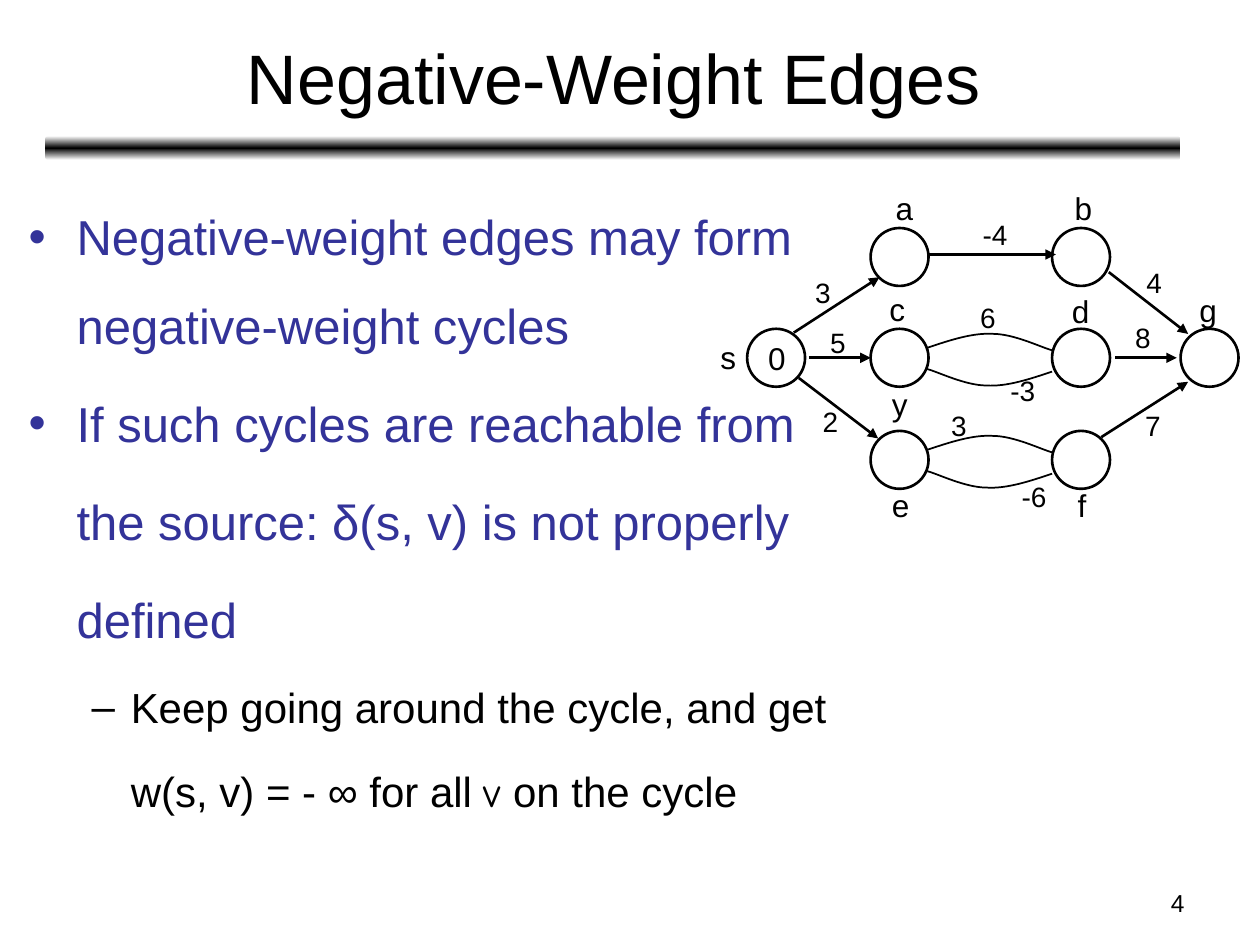
from lxml import etree
from pptx import Presentation
from pptx.dml.color import RGBColor
from pptx.enum.shapes import MSO_CONNECTOR, MSO_SHAPE
from pptx.enum.text import MSO_ANCHOR, PP_ALIGN
from pptx.oxml import parse_xml
from pptx.oxml.ns import nsdecls, qn
from pptx.util import Inches, Pt

LEFT, CENTER, RIGHT = PP_ALIGN.LEFT, PP_ALIGN.CENTER, PP_ALIGN.RIGHT
MIDDLE, TOP = MSO_ANCHOR.MIDDLE, MSO_ANCHOR.TOP
OVAL, BAR = MSO_SHAPE.OVAL, MSO_SHAPE.ROUNDED_RECTANGLE
STRAIGHT = MSO_CONNECTOR.STRAIGHT
BLACK, WHITE, BLUE = "000000", "FFFFFF", "333399"
SANS, HAND = "Arial", "Comic Neue"

# Graph grid: centres of the columns and rows, in inches
COLS = (6.16, 7.14, 8.58, 9.6)
ROWS = (2.04, 2.84, 3.65)
SIZE = 0.46
NODES = {"s": (0, 1), "a": (1, 0), "b": (2, 0), "c": (1, 1),
         "d": (2, 1), "e": (1, 2), "f": (2, 2), "g": (3, 1)}

# Label, node, offset of the label from the node's centre
NAMES = [
    ("s", "s", (-0.37, -0.01)), ("a", "a", (0.04, -0.39)),
    ("b", "b", (0.02, -0.39)), ("c", "c", (-0.01, -0.39)),
    ("d", "d", (0, -0.37)), ("g", "g", (-0.01, -0.38)),
    ("y", "c", (0.01, 0.37)), ("e", "e", (0.01, 0.36)),
    ("f", "f", (0.01, 0.36)),
]

# Ends, each with its offset from the node's centre
EDGES = [
    ("s", (0.14, -0.2), "a", (-0.16, 0.16)),
    ("s", (0.26, 0), "c", (-0.23, 0)),
    ("s", (0.18, 0.16), "e", (-0.17, -0.17)),
    ("a", (0.23, -0.02), "b", (-0.2, -0.02)),
    ("b", (0.22, 0.12), "g", (-0.17, -0.19)),
    ("d", (0.27, 0), "g", (-0.26, 0)),
    ("f", (0.16, -0.18), "g", (-0.17, 0.19)),
]

# Weight, pair of nodes, offset from the point halfway between them
WEIGHTS = [
    ("3", "sa", (-0.12, -0.12)), ("5", "sc", (0, -0.12)),
    ("2", "se", (-0.06, 0.1)), ("-4", "ab", (0.04, -0.18)),
    ("4", "bg", (0.07, -0.2)), ("8", "dg", (-0.02, -0.16)),
    ("7", "fg", (0.06, 0.13)), ("6", "cd", (-0.02, -0.32)),
    ("-3", "cd", (0.26, 0.26)), ("3", "ef", (-0.25, -0.27)),
    ("-6", "ef", (0.35, 0.29)),
]

# Start, then three points for each of two joined Bezier curves
ARC = [(0, 0), (0.18, -0.06), (0.36, -0.12), (0.52, -0.11),
       (0.69, -0.11), (0.91, 0), (0.99, 0.02)]

# Text, level, bullet
BODY = [
    ("Negative-weight edges may form negative-weight cycles", 0, "•"),
    ("If such cycles are reachable from", 0, "•"),
    ("the source: δ(s, v) is not properly", 0, None),
    ("defined", 0, None),
    ("Keep going around the cycle, and get", 1, "–"),
    (("w(s, v) = - ∞ for all ", "v", " on the cycle"), 1, None),
]
# Size, colour, left margin, hang, space before
LEVELS = [(28, BLUE, 0.38, 0.38, 5.6), (24, BLACK, 0.81, 0.31, 4.8)]


def rgb(code):
    return RGBColor.from_string(code)


def spot(name, off=(0, 0)):
    """Place on the slide of a node's centre, moved by an offset."""
    col, row = NODES[name]
    return COLS[col] + off[0], ROWS[row] + off[1]


def style(font, size, color=BLACK, face=SANS):
    font.size, font.name = Pt(size), face
    font.color.rgb = rgb(color)


def write(shape, text, size, align=LEFT, anchor=TOP):
    frame = shape.text_frame
    frame.text = text
    frame.vertical_anchor = anchor
    para = frame.paragraphs[0]
    para.alignment = align
    style(para.runs[0].font, size)


def box(slide, x, y, w, h, wrap=True):
    shape = slide.shapes.add_textbox(*map(Inches, (x, y, w, h)))
    shape.text_frame.word_wrap = wrap
    return shape


def label(slide, text, x, y, w, h, size):
    """Short text in a box centred on a point."""
    write(box(slide, x - w / 2, y - h / 2, w, h, False), text, size)


def rule(slide):
    shape = slide.shapes.add_shape(
        BAR, *map(Inches, (0.36, 1.08, 9.01, 0.19)))
    shape.shadow.inherit = False
    shape.line.fill.background()
    stops = "".join(
        f'<a:gs pos="{pos}"><a:srgbClr val="{color}"/></a:gs>'
        for pos, color in ((0, WHITE), (50000, BLACK), (100000, WHITE)))
    fill = parse_xml(f'<a:gradFill {nsdecls("a")}><a:gsLst>{stops}</a:gsLst>'
                     '<a:lin ang="5400000" scaled="0"/></a:gradFill>')
    shape.element.spPr.find(qn("a:prstGeom")).addnext(fill)


def stroke(shape, width):
    shape.line.color.rgb = rgb(BLACK)
    shape.line.width = Pt(width)


def node(slide, name):
    x, y = spot(name, (-SIZE / 2, -SIZE / 2))
    shape = slide.shapes.add_shape(OVAL, *map(Inches, (x, y, SIZE, SIZE)))
    shape.shadow.inherit = False
    shape.fill.background()
    stroke(shape, 1.5)
    if name == "s":
        write(shape, "0", 18, CENTER, MIDDLE)


def arrow(slide, start, end):
    line = slide.shapes.add_connector(
        STRAIGHT, *map(Inches, (*start, *end)))
    stroke(line, 1.5)
    etree.SubElement(line.line._get_or_add_ln(), qn("a:tailEnd"),
                     type="triangle")
    etree.SubElement(line._element.spPr, qn("a:effectLst"))


def arc(slide, start, sign):
    """Bent edge; sign -1 turns it half round."""
    points = [(Inches(start[0] + sign * x), Inches(start[1] + sign * y))
              for x, y in ARC]
    pen = slide.shapes.build_freeform(*points[0])
    pen.add_line_segments(points[1:], close=False)
    shape = pen.convert_to_shape()
    shape.shadow.inherit = False
    shape.fill.background()
    stroke(shape, 1)
    # Join each three straight segments into one cubic curve
    segments = list(shape.element.iter(qn("a:lnTo")))
    outline = segments[0].getparent()
    for i in range(0, len(segments), 3):
        curve = etree.SubElement(outline, qn("a:cubicBezTo"))
        for segment in segments[i:i + 3]:
            curve.append(segment[0])
            outline.remove(segment)


def bullet(props, mark, color):
    tint = etree.SubElement(props, qn("a:buClr"))
    etree.SubElement(tint, qn("a:srgbClr"), val=color)
    etree.SubElement(props, qn("a:buFont"), typeface=SANS)
    etree.SubElement(props, qn("a:buChar"), char=mark)


def body(slide):
    frame = box(slide, 0.13, 1.36, 7.84, 5.55).text_frame
    for i, (text, level, mark) in enumerate(BODY):
        para = frame.paragraphs[0] if i == 0 else frame.add_paragraph()
        size, color, margin, hang, gap = LEVELS[level]
        para.level, para.line_spacing = level, 1.5
        if i:
            para.space_before = Pt(gap)
        props = para._p.get_or_add_pPr()
        props.set("marL", str(Inches(margin)))
        props.set("indent", str(-Inches(hang) if mark else 0))
        if mark:
            bullet(props, mark, color)
        else:
            etree.SubElement(props, qn("a:buNone"))
        for part in (text,) if isinstance(text, str) else text:
            run = para.add_run()
            run.text = part
            style(run.font, size, color, HAND if part == "v" else SANS)


def graph(slide):
    for name in NODES:
        node(slide, name)
    for tail, out, head, into in EDGES:
        arrow(slide, spot(tail, out), spot(head, into))
    for left, right in ("cd", "ef"):
        arc(slide, spot(left, (0.22, -0.08)), 1)
        arc(slide, spot(right, (-0.23, 0.11)), -1)
    for text, name, off in NAMES:
        width = 0.27 if text == "f" else 0.34
        label(slide, text, *spot(name, off), width, 0.4, 18)
    for text, (tail, head), off in WEIGHTS:
        x, y = [(p + q) / 2 + d
                for p, q, d in zip(spot(tail), spot(head), off)]
        label(slide, text, x, y, 0.24 + 0.08 * len(text), 0.37, 16)


def main():
    deck = Presentation()
    deck.slide_width, deck.slide_height = Inches(10), Inches(7.5)
    slide = deck.slides.add_slide(deck.slide_layouts[6])
    rule(slide)
    write(box(slide, 7.17, 7, 2.33, 0.35), "4", 14, RIGHT)
    write(box(slide, 0.37, 0.11, 9, 0.99), "Negative-Weight Edges", 40,
          CENTER, MIDDLE)
    body(slide)
    graph(slide)
    deck.save("out.pptx")


if __name__ == "__main__":
    main()
